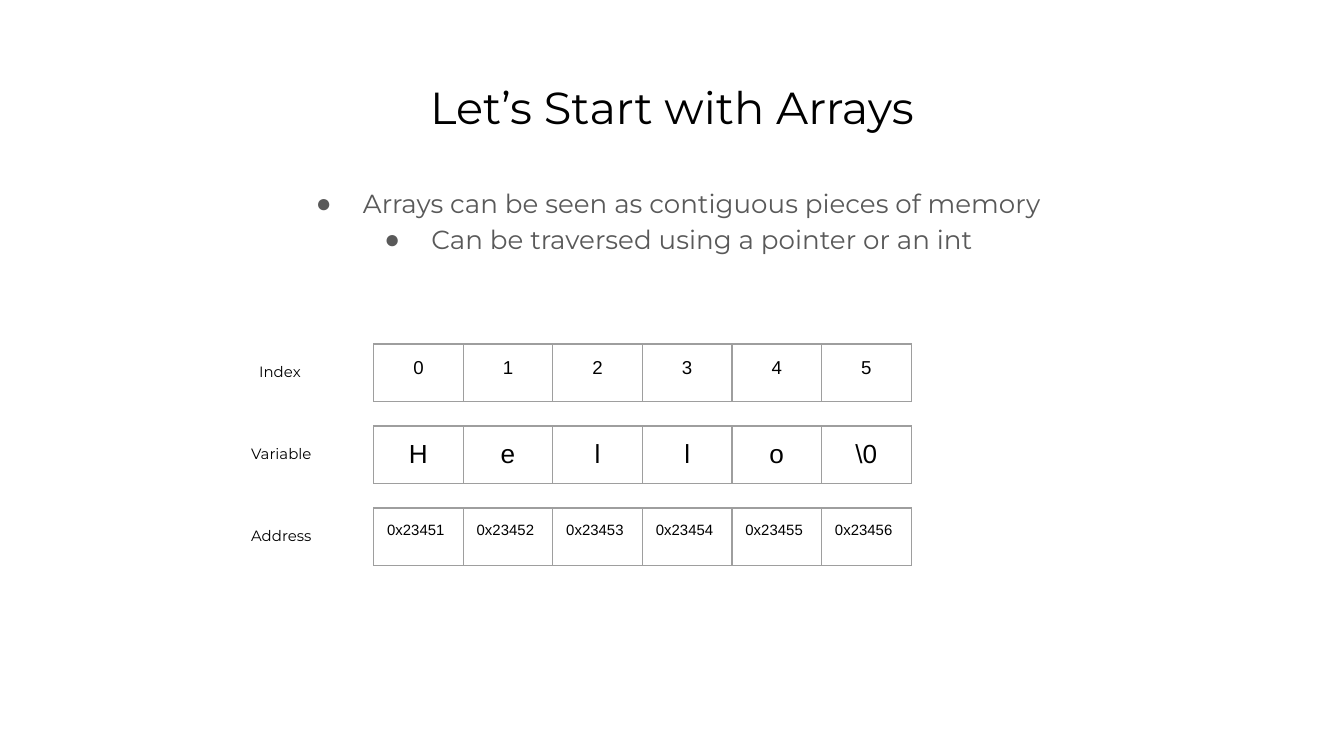
from lxml import etree
from pptx import Presentation
from pptx.dml.color import RGBColor
from pptx.enum import text
from pptx.oxml import ns
from pptx.util import Inches, Pt

HUES = {"black": "000000", "grey": "595959", "line": "9E9E9E"}
LEFT, TOP, WIDTH, HEIGHT = 2.78, 2.56, 4, 0.43
STEP = 0.61
CENTER = text.PP_ALIGN.CENTER
# label, label left, label width, cell size, alignment, values
ROWS = [
    ("Index", 1.83, 0.57, 10, CENTER, list("012345")),
    ("Variable", 1.77, 0.7, 14, CENTER, [*"Hello", "\\0"]),
    ("Address", 1.77, 0.7, 8, text.PP_ALIGN.LEFT,
     [f"0x{23451 + i}" for i in range(6)]),
]
POINTS = [
    "Arrays can be seen as contiguous pieces of memory ",
    "Can be traversed using a pointer or an int ",
]


def apply(item, form):
    for name, value in form.items():
        setattr(item, name, value)


def write(para, words, size, face="Montserrat", hue="black", align=None):
    para.alignment = align
    run = para.add_run()
    run.text = words
    apply(run.font, {"name": face, "size": Pt(size), "bold": False})
    run.font.color.rgb = RGBColor.from_string(HUES[hue])


def inset(item):
    """Set equal margins on a text frame or a cell."""
    sides = ("left", "right", "top", "bottom")
    apply(item, {f"margin_{side}": Inches(0.1) for side in sides})
    item.vertical_anchor = text.MSO_ANCHOR.TOP


def frame(shape):
    box = shape.text_frame
    inset(box)
    apply(box, {"word_wrap": True, "auto_size": text.MSO_AUTO_SIZE.NONE})
    return box


def add_box(slide, *place):
    return frame(slide.shapes.add_textbox(*map(Inches, place)))


def add_title(slide, words):
    title = slide.shapes.title
    apply(title, {"left": Inches(0.34), "top": Inches(0.49),
                  "width": Inches(9.32), "height": Inches(0.63)})
    write(frame(title).paragraphs[0], words, 24, align=CENTER)


def bullet(para):
    props = para._p.get_or_add_pPr()
    props.set("marL", str(Inches(0.5)))
    props.set("indent", str(-Inches(0.35)))
    hue = etree.SubElement(props, ns.qn("a:buClr"))
    etree.SubElement(hue, ns.qn("a:srgbClr"), val=HUES["grey"])
    etree.SubElement(props, ns.qn("a:buFont"), typeface="Arial")
    etree.SubElement(props, ns.qn("a:buChar"), char="●")


def add_points(slide):
    box = add_box(slide, 0.34, 1.26, 9.32, 0.92)
    for i, words in enumerate(POINTS):
        para = box.add_paragraph() if i else box.paragraphs[0]
        write(para, words, 14, hue="grey", align=CENTER)
        para.line_spacing = 1.15
        bullet(para)


def border(cell):
    props = cell._tc.get_or_add_tcPr()
    for i, side in enumerate(("lnL", "lnR", "lnT", "lnB")):
        line = etree.Element(ns.qn(f"a:{side}"), w=str(Pt(0.75)))
        fill = etree.SubElement(line, ns.qn("a:solidFill"))
        etree.SubElement(fill, ns.qn("a:srgbClr"), val=HUES["line"])
        props.insert(i, line)


def add_row(slide, top, size, align, values):
    place = map(Inches, (LEFT, top, WIDTH, HEIGHT))
    table = slide.shapes.add_table(1, len(values), *place).table
    apply(table, {"first_row": False, "horz_banding": False})
    for cell, value in zip(table.iter_cells(), values):
        inset(cell)
        cell.fill.background()
        border(cell)
        write(cell.text_frame.paragraphs[0], value, size, "Arial", align=align)


def main():
    deck = Presentation()
    wide = Inches(10)
    apply(deck, {"slide_width": wide, "slide_height": wide * 9 // 16})
    slide = deck.slides.add_slide(deck.slide_layouts[5])
    add_title(slide, "Let’s Start with Arrays")
    add_points(slide)
    for i, (label, left, width, size, align, values) in enumerate(ROWS):
        top = TOP + i * STEP
        add_row(slide, top, size, align, values)
        box = add_box(slide, left, top + 0.04, width, 0.35)
        write(box.paragraphs[0], label, 8)
    deck.save("out.pptx")


if __name__ == "__main__":
    main()
